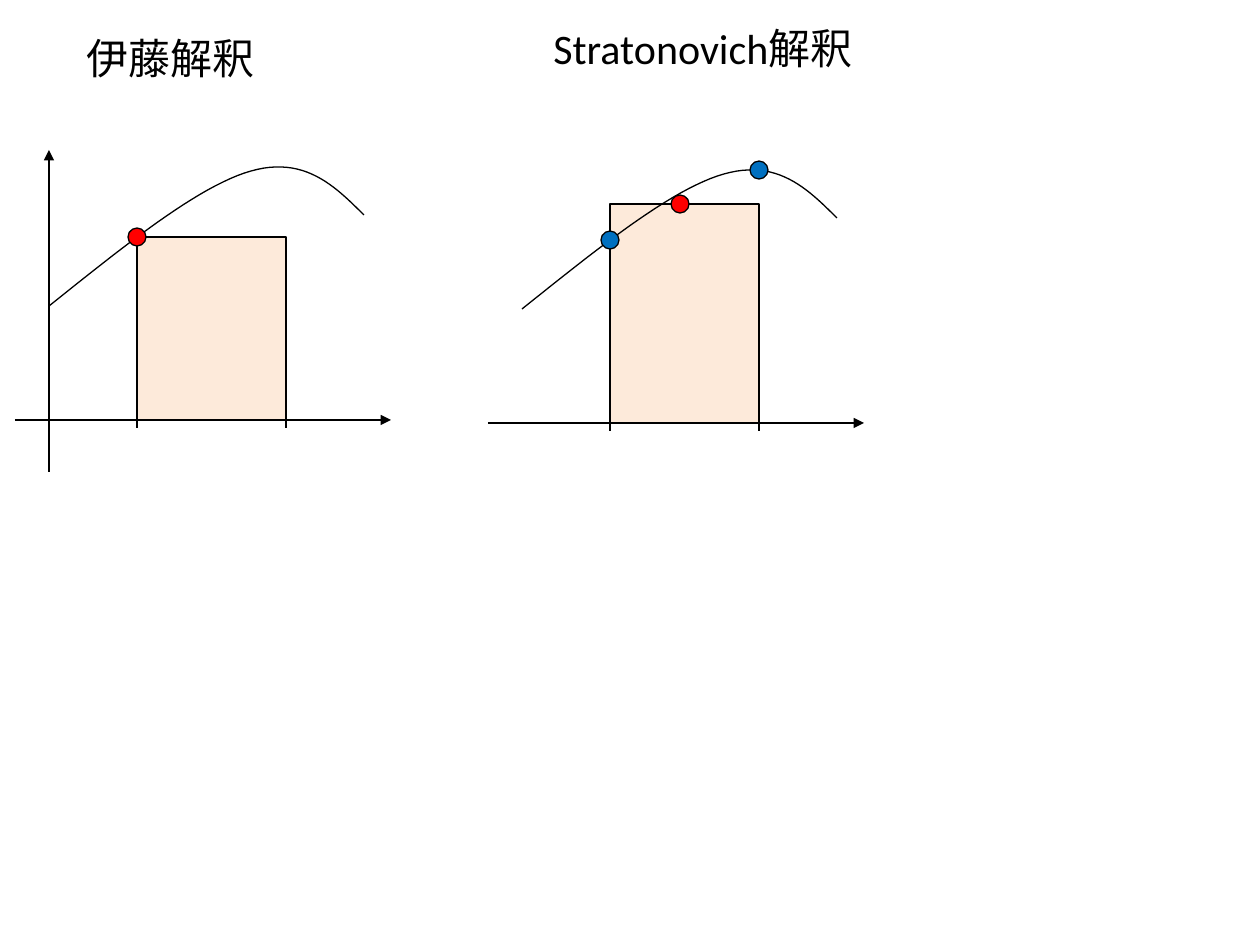
from lxml import etree
from pptx import Presentation
from pptx.dml.color import RGBColor
from pptx.enum.shapes import MSO_CONNECTOR, MSO_SHAPE
from pptx.oxml.ns import qn
from pptx.util import Pt

LINE = MSO_CONNECTOR.STRAIGHT
RECT, OVAL = MSO_SHAPE.RECTANGLE, MSO_SHAPE.OVAL
BLACK = RGBColor(0x00, 0x00, 0x00)
PEACH = RGBColor(0xFD, 0xEA, 0xDA)
RED = RGBColor(0xFF, 0x00, 0x00)
BLUE = RGBColor(0x00, 0x70, 0xC0)
PX = 914400 / 126

prs = Presentation()
prs.slide_width, prs.slide_height = round(1260 * PX), round(945 * PX)
s = prs.slides.add_slide(prs.slide_layouts[6])


def add_shape(kind, x, y, w, h, color):
    sp = s.shapes.add_shape(kind, *(round(v * PX) for v in (x, y, w, h)))
    sp.shadow.inherit = False
    sp.fill.solid()
    sp.fill.fore_color.rgb = color
    sp.line.color.rgb = BLACK
    sp.line.width = Pt(0.75)


def add_line(x1, y1, x2, y2, arrow=False):
    c = s.shapes.add_connector(LINE, *(round(v * PX) for v in (x1, y1, x2, y2)))
    c.line.color.rgb = BLACK
    c.line.width = Pt(0.75)
    if arrow:
        etree.SubElement(c.line._get_or_add_ln(), qn("a:tailEnd"), type="triangle")
    etree.SubElement(c._element.spPr, qn("a:effectLst"))


# Two cubic segments that share their middle point
CURVE = [(49, 306), (123, 247), (198, 186), (251, 171), (304, 156), (334, 185), (364, 215)]
STEPS = 24
DOT = 18

# Panel: offset, top of the bar, whether it has a y axis, dots
panels = [
    (0, 0, 237, True, [(137, 237, RED)]),
    (473, 3, 204, False, [(759, 170, BLUE), (610, 240, BLUE), (680, 204, RED)]),
]
for dx, dy, top, has_y_axis, dots in panels:
    left, right, base = 137 + dx, 286 + dx, 420 + dy

    # Bar and axes
    add_shape(RECT, left, top, right - left, base - top, PEACH)
    add_line(15 + dx, base, 391 + dx, base, arrow=True)
    if has_y_axis:
        add_line(49 + dx, 472, 49 + dx, 150, arrow=True)

    # Curve
    points = []
    for i in (0, 3):
        for k in range(STEPS + 1):
            t = k / STEPS
            weights = ((1 - t) ** 3, 3 * t * (1 - t) ** 2, 3 * t * t * (1 - t), t ** 3)
            x, y = (sum(w * p[axis] for w, p in zip(weights, CURVE[i:i + 4])) for axis in (0, 1))
            points.append((round((x + dx) * PX), round((y + dy) * PX)))
    fb = s.shapes.build_freeform(*points[0])
    fb.add_line_segments(points[1:], close=False)
    sp = fb.convert_to_shape()
    sp.shadow.inherit = False
    sp.fill.background()
    sp.line.color.rgb = BLACK
    sp.line.width = Pt(0.75)

    # Ticks and dots
    for x in (left, right):
        add_line(x, base + 8, x, base - 8)
    for x, y, color in dots:
        add_shape(OVAL, x - DOT / 2, y - DOT / 2, DOT, DOT, color)

# Headings
for text, x, y, w in [("伊藤解釈", 74, 26, 196), ("Stratonovich解釈", 541, 16, 328)]:
    tf = s.shapes.add_textbox(*(round(v * PX) for v in (x, y, w, 63))).text_frame
    tf.word_wrap = True
    tf.text = text
    r = tf.paragraphs[0].runs[0]
    r.font.name = "Calibri"
    r.font.size = Pt(24)
    r.font.color.rgb = BLACK

prs.save("out.pptx")
